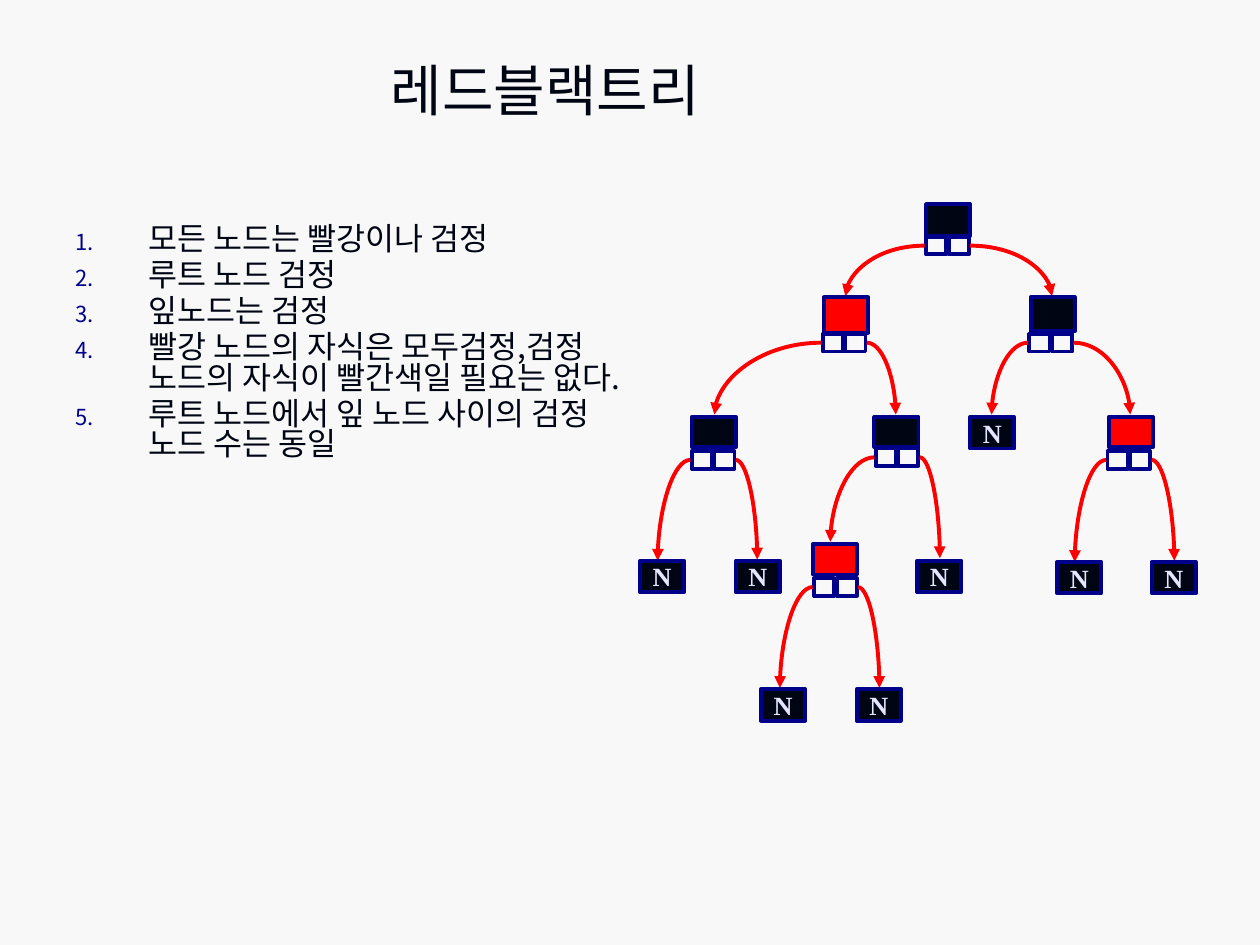
"""Build a slide that explains the rules of a red-black tree."""
from lxml import etree
from pptx import Presentation
from pptx.dml.color import RGBColor
from pptx.enum import shapes, text
from pptx.oxml import ns
from pptx.util import Inches, Pt

BACKGROUND = RGBColor(0xF8, 0xF8, 0xF8)
BLACK = RGBColor(0x00, 0x05, 0x14)
RED = RGBColor(0xFF, 0x00, 0x00)
NAVY = RGBColor(0x00, 0x00, 0x8A)
PALE = RGBColor(0xE5, 0xE5, 0xFF)
KOREAN = "Noto Sans CJK KR"

RULES = [
    "모든 노드는 빨강이나 검정",
    "루트 노드 검정",
    "잎노드는 검정",
    "빨강 노드의 자식은 모두검정,검정 노드의 자식이 빨간색일 필요는 없다.",
    "루트 노드에서 잎 노드 사이의 검정 노드 수는 동일",
]
# left, top, height, colour, pointer left, pointer top, left arrow end, right arrow end
NODES = [
    (7.35, 1.62, 0.25, BLACK, 7.35, 1.88, (6.71, 2.35), (8.35, 2.35)),
    (6.54, 2.36, 0.28, RED, 6.53, 2.65, (5.67, 3.29), (7.11, 3.29)),
    (8.18, 2.36, 0.27, BLACK, 8.17, 2.65, (7.87, 3.29), (8.97, 3.29)),
    (5.49, 3.31, 0.24, BLACK, 5.49, 3.58, (5.22, 4.45), (6.01, 4.44)),
    (6.94, 3.31, 0.24, BLACK, 6.95, 3.56, (6.59, 4.3), (7.46, 4.43)),
    (8.8, 3.31, 0.24, RED, 8.79, 3.58, (8.53, 4.46), (9.32, 4.45)),
    (6.45, 4.32, 0.24, RED, 6.46, 4.59, (6.19, 5.46), (6.98, 5.46)),
]
LEAVES = [(7.7, 3.31), (5.08, 4.45), (5.84, 4.45), (7.28, 4.45),
          (8.39, 4.46), (9.14, 4.46), (6.04, 5.47), (6.8, 5.47)]
NODE_WIDTH = 0.35

presentation = Presentation()
presentation.slide_width, presentation.slide_height = Inches(10), Inches(7.5)
slide = presentation.slides.add_slide(presentation.slide_layouts[6])
slide.background.fill.solid()
slide.background.fill.fore_color.rgb = BACKGROUND


def write(paragraph, words, size, color, font=KOREAN, bold=False, align=text.PP_ALIGN.CENTER):
    paragraph.alignment = align
    run = paragraph.add_run()
    run.text = words
    run.font.size, run.font.name, run.font.bold = Pt(size), font, bold
    run.font.color.rgb = color
    etree.SubElement(run.font._element, ns.qn("a:ea"), typeface=font)


def add_box(left, top, width, height, fill=None):
    shape = slide.shapes.add_shape(shapes.MSO_SHAPE.RECTANGLE, Inches(left), Inches(top),
                                   Inches(width), Inches(height))
    shape.shadow.inherit = False
    if fill is None:
        shape.fill.background()
    else:
        shape.fill.solid()
        shape.fill.fore_color.rgb = fill
    shape.line.color.rgb = NAVY
    shape.line.width = Pt(2.25)
    return shape


title = slide.shapes.add_textbox(Inches(0.51), Inches(0.36), Inches(7.64), Inches(0.69))
title.text_frame.word_wrap = True
title.text_frame.vertical_anchor = text.MSO_ANCHOR.MIDDLE
write(title.text_frame.paragraphs[0], "레드블랙트리", size=32, color=BLACK)

rules = slide.shapes.add_textbox(Inches(0.5), Inches(1.75), Inches(4.58), Inches(4.95))
rules.text_frame.word_wrap = True
for index, rule in enumerate(RULES):
    paragraph = rules.text_frame.add_paragraph() if index else rules.text_frame.paragraphs[0]
    write(paragraph, rule, size=18, color=BLACK, align=text.PP_ALIGN.LEFT)
    paragraph.line_spacing = 0.8
    paragraph.space_before = Pt(3.3)
    properties = paragraph._p.get_or_add_pPr()
    properties.set("marL", str(Inches(0.58)))
    properties.set("indent", str(-Inches(0.58)))
    bullet_color = etree.SubElement(properties, ns.qn("a:buClr"))
    etree.SubElement(bullet_color, ns.qn("a:srgbClr"), val=str(NAVY))
    etree.SubElement(properties, ns.qn("a:buSzPct"), val="70000")
    etree.SubElement(properties, ns.qn("a:buAutoNum"), type="arabicPeriod")

for left, top, height, color, pointer_left, pointer_top, left_end, right_end in NODES:
    add_box(left, top, NODE_WIDTH, height, color)
    for offset in (0, 0.18):
        add_box(pointer_left + offset, pointer_top, 0.16, 0.14)
    for start, end in ((pointer_left - 0.01, left_end), (pointer_left + 0.35, right_end)):
        arrow = slide.shapes.add_connector(
            shapes.MSO_CONNECTOR.CURVE, Inches(start), Inches(pointer_top + 0.07),
            Inches(end[0]), Inches(end[1]))
        arrow.line.color.rgb = RED
        arrow.line.width = Pt(2.25)
        etree.SubElement(arrow.line._get_or_add_ln(), ns.qn("a:tailEnd"), type="triangle")
        arrow_properties = arrow._element.spPr
        arrow_properties.find(ns.qn("a:prstGeom")).set("prst", "curvedConnector2")
        etree.SubElement(arrow_properties, ns.qn("a:effectLst"))

for left, top in LEAVES:
    leaf = add_box(left, top, NODE_WIDTH, 0.25, BLACK)
    leaf.text_frame.word_wrap = False
    leaf.text_frame.vertical_anchor = text.MSO_ANCHOR.MIDDLE
    write(leaf.text_frame.paragraphs[0], "N", size=15, color=PALE,
          font="Times New Roman", bold=True)

presentation.save("out.pptx")
